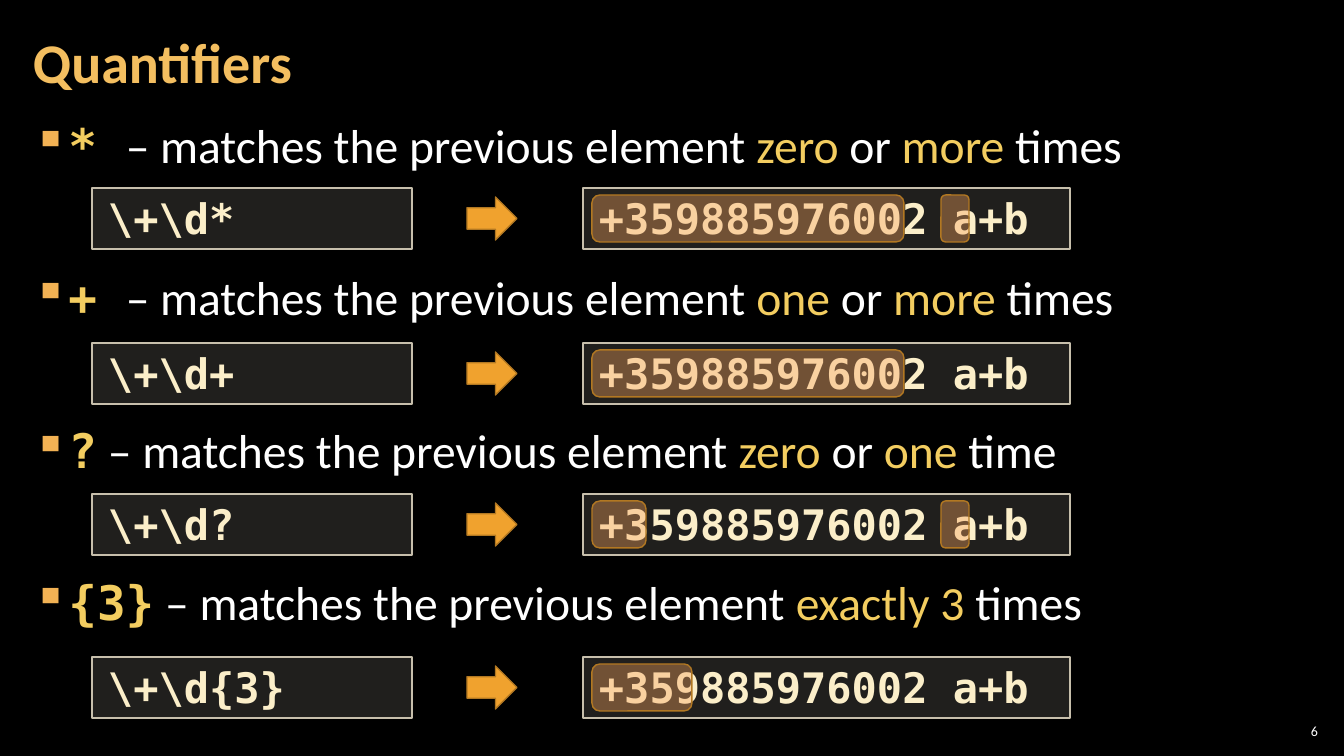
from lxml import etree
from pptx import Presentation
from pptx.dml.color import RGBColor
from pptx.enum.shapes import MSO_SHAPE
from pptx.enum.text import MSO_ANCHOR, PP_ALIGN
from pptx.oxml.ns import qn
from pptx.util import Pt

RECTANGLE = MSO_SHAPE.RECTANGLE
ROUNDED = MSO_SHAPE.ROUNDED_RECTANGLE
ARROW = MSO_SHAPE.RIGHT_ARROW
TOP, MIDDLE = MSO_ANCHOR.TOP, MSO_ANCHOR.MIDDLE
LEFT, RIGHT = PP_ALIGN.LEFT, PP_ALIGN.RIGHT

SANS, MONO = "Calibri", "DejaVu Sans Mono"
WHITE, YELLOW, TITLE_GOLD = "FFFFFF", "F3CD60", "F3BE60"
BULLET_ORANGE, CODE_CREAM = "F2B254", "FBEEC9"
BOX_FILL, BOX_LINE = "D9D5C7", "C7BFAC"
MATCH_FILL, ARROW_FILL, ACCENT_LINE = "F6A35E", "F0A22E", "B27822"

TITLE = "Quantifiers"
PAGE_NUMBER = "6"
SAMPLE = "+359885976002 a+b"
MATCHES = "– matches the previous element "

# symbol, coloured words of the explanation, pattern, row top, matches as (left, width)
PHONE, LETTER = (592, 312), (941, 28)
QUANTIFIERS = [
    ("*", [("zero ", YELLOW), ("or", WHITE), (" more ", YELLOW), ("times", WHITE)],
     r"\+\d*", 188, [PHONE, LETTER]),
    ("+", [("one ", YELLOW), ("or", WHITE), (" more ", YELLOW), ("times", WHITE)],
     r"\+\d+", 343, [PHONE]),
    ("?", [("zero ", YELLOW), ("or", WHITE), (" one ", YELLOW), ("time", WHITE)],
     r"\+\d?", 494, [(592, 54), LETTER]),
    ("{3}", [("exactly 3 ", YELLOW), ("times", WHITE)],
     r"\+\d{3}", 657, [(592, 100)]),
]
# The first two symbols carry the gap in the wide code font, the others in the text font.
WIDE_GAP_SYMBOLS = ("*", "+")

SLIDE_WIDTH, SLIDE_HEIGHT = 1344, 756
EMU_PER_PX = 914400 / 100.8
ROW_HEIGHT = 61
MATCH_OFFSET, MATCH_HEIGHT = 7, 47
ARROW_OFFSET = 9
BULLET_INDENT = 33


def px(length):
    return round(length * EMU_PER_PX)


def color(value):
    return RGBColor.from_string(value)


def set_frame(shape, margin_x, margin_y, anchor):
    frame = shape.text_frame
    frame.word_wrap = True
    frame.vertical_anchor = anchor
    frame.margin_left = frame.margin_right = px(margin_x)
    frame.margin_top = frame.margin_bottom = px(margin_y)
    return frame


def add_run(paragraph, text, size, font_name, font_color, bold=False):
    run = paragraph.add_run()
    run.text = text
    run.font.size = Pt(size)
    run.font.name = font_name
    run.font.bold = bold
    run.font.color.rgb = color(font_color)


def add_text_box(slide, box, margin_x, anchor):
    shape = slide.shapes.add_textbox(*map(px, box))
    return set_frame(shape, margin_x, 4, anchor)


def add_figure(slide, kind, box, fill, line, opacity=100):
    shape = slide.shapes.add_shape(kind, *map(px, box))
    shape.shadow.inherit = False
    shape.fill.solid()
    shape.fill.fore_color.rgb = color(fill)
    shape.line.color.rgb = color(line)
    shape.line.width = Pt(1)
    if opacity < 100:
        fill_color = shape.fill._xPr.find(qn("a:solidFill"))[0]
        etree.SubElement(fill_color, qn("a:alpha"), val=str(opacity * 1000))
    return shape


def add_code_box(slide, left, top, width, code):
    shape = add_figure(slide, RECTANGLE, (left, top, width, ROW_HEIGHT), BOX_FILL, BOX_LINE, 15)
    paragraph = set_frame(shape, 16, 5, TOP).paragraphs[0]
    paragraph.alignment = LEFT
    add_run(paragraph, code, 30, MONO, CODE_CREAM, True)


def set_bullet(paragraph):
    properties = paragraph._p.get_or_add_pPr()
    properties.set("marL", str(px(BULLET_INDENT)))
    properties.set("indent", str(-px(BULLET_INDENT)))
    bullet_color = etree.SubElement(properties, qn("a:buClr"))
    etree.SubElement(bullet_color, qn("a:srgbClr"), val=BULLET_ORANGE)
    etree.SubElement(properties, qn("a:buChar"), char="▪")


def add_explanations(slide):
    frame = add_text_box(slide, (21, 109, 1301, 614), 12, TOP)
    for index, (symbol, words, *_) in enumerate(QUANTIFIERS):
        paragraph = frame.add_paragraph() if index else frame.paragraphs[0]
        paragraph.line_spacing = 1.05
        paragraph.space_before = Pt(6)
        paragraph.space_after = Pt(60)
        set_bullet(paragraph)
        wide = symbol in WIDE_GAP_SYMBOLS
        add_run(paragraph, symbol + " " if wide else symbol, 34, MONO, YELLOW, True)
        add_run(paragraph, MATCHES if wide else " " + MATCHES, 34, SANS, WHITE)
        for text, font_color in words:
            add_run(paragraph, text, 34, SANS, font_color)


def add_example(slide, pattern, top, matches):
    add_code_box(slide, 583, top, 487, SAMPLE)
    add_code_box(slide, 92, top, 320, pattern)
    add_figure(slide, ARROW, (467, top + ARROW_OFFSET, 50, 43), ARROW_FILL, ACCENT_LINE)
    for left, width in matches:
        box = (left, top + MATCH_OFFSET, width, MATCH_HEIGHT)
        add_figure(slide, ROUNDED, box, MATCH_FILL, ACCENT_LINE, 38)


def main():
    presentation = Presentation()
    presentation.slide_width = px(SLIDE_WIDTH)
    presentation.slide_height = px(SLIDE_HEIGHT)
    slide = presentation.slides.add_slide(presentation.slide_layouts[6])
    slide.background.fill.solid()
    slide.background.fill.fore_color.rgb = color("000000")

    page_number = add_text_box(slide, (1275, 720, 47, 21), 4, MIDDLE).paragraphs[0]
    page_number.alignment = RIGHT
    add_run(page_number, PAGE_NUMBER, 10, SANS, WHITE)

    add_explanations(slide)

    title = add_text_box(slide, (21, 4, 1055, 122), 12, MIDDLE).paragraphs[0]
    title.line_spacing = 0.9
    add_run(title, TITLE, 40, SANS, TITLE_GOLD, True)

    for _, _, pattern, top, matches in QUANTIFIERS:
        add_example(slide, pattern, top, matches)
    presentation.save("out.pptx")


if __name__ == "__main__":
    main()
